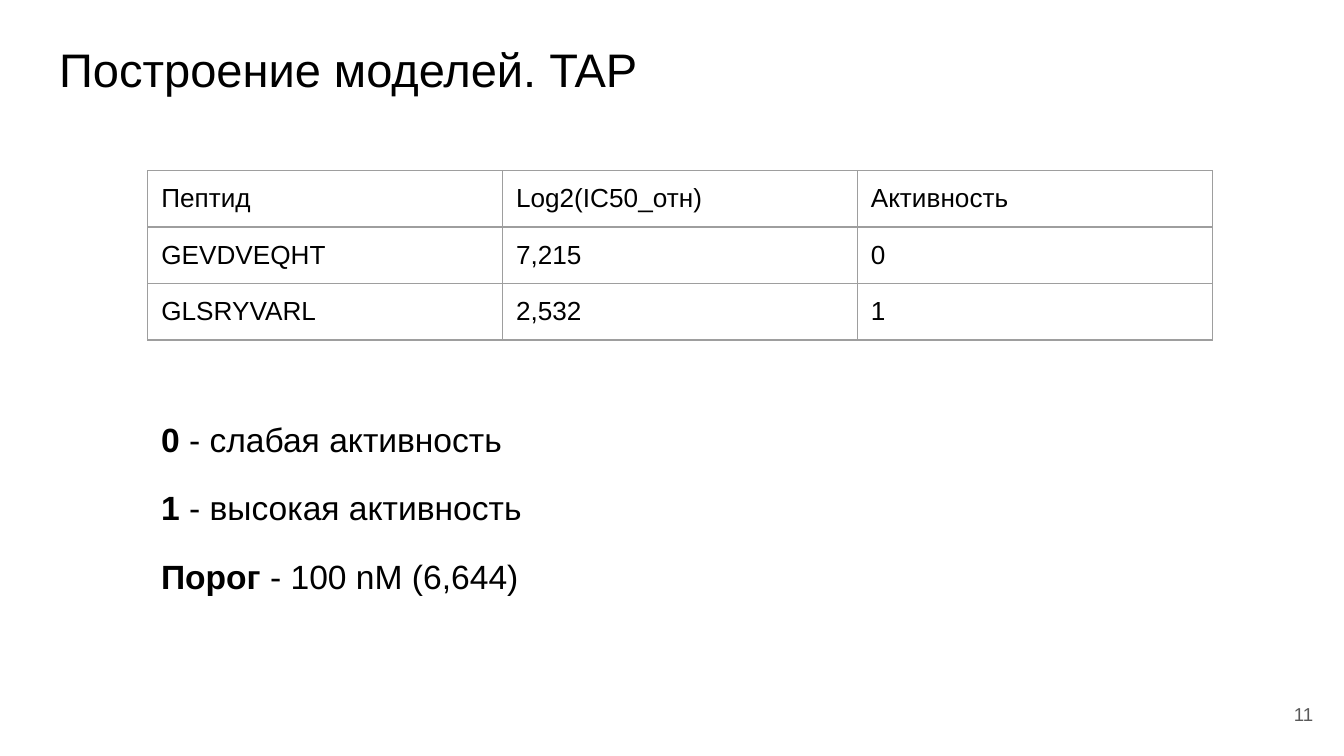
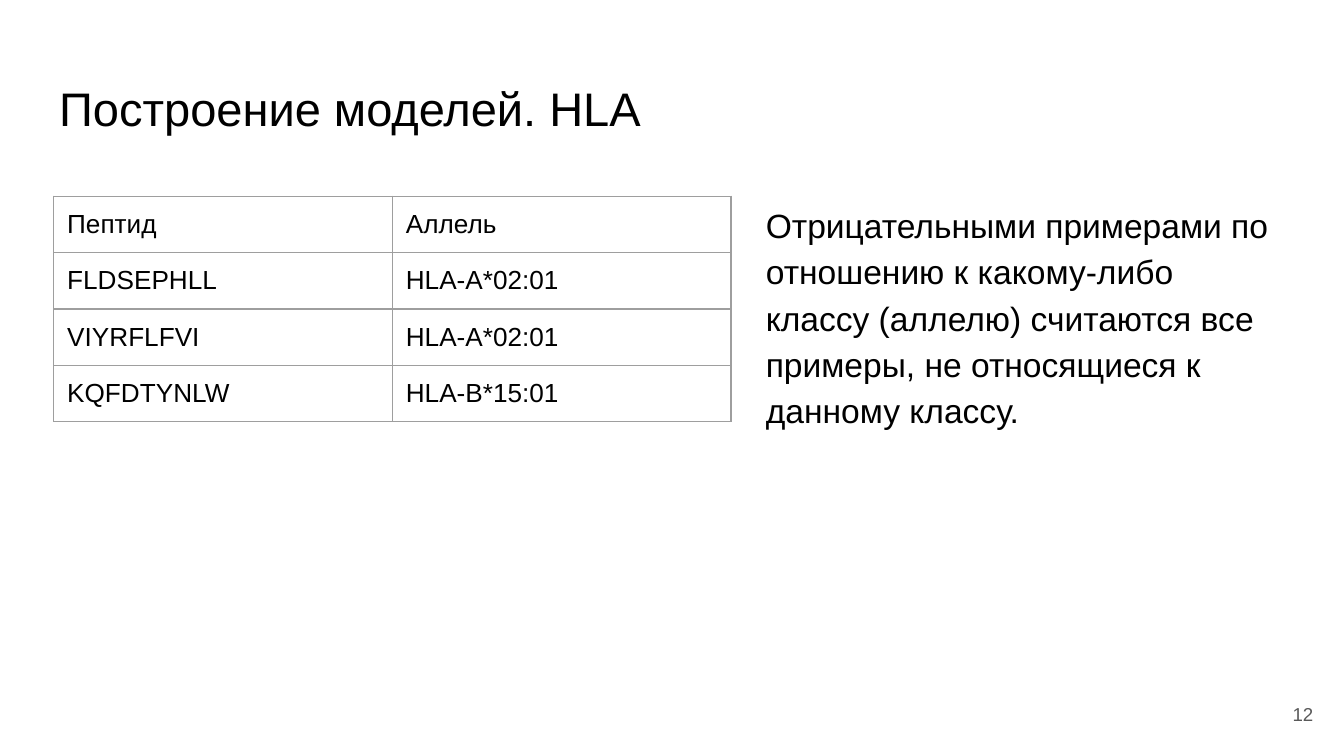
import lxml.etree
import pptx
import pptx.dml.color
import pptx.enum.text
import pptx.oxml.ns
import pptx.util

Inches = pptx.util.Inches
Pt = pptx.util.Pt
RGBColor = pptx.dml.color.RGBColor
Align = pptx.enum.text.PP_ALIGN
Anchor = pptx.enum.text.MSO_ANCHOR

BLACK = RGBColor(0x00, 0x00, 0x00)
GREY = RGBColor(0x59, 0x59, 0x59)
BORDER = RGBColor(0x9E, 0x9E, 0x9E)

TITLE_ONLY = 5
PAGE_WIDTH = Inches(10)
PAGE_HEIGHT = PAGE_WIDTH * 9 // 16
PADDING = Inches(0.1)
ROW_HEIGHT = Inches(0.42)
BORDER_WIDTH = Pt(0.75)

TITLE_FONT = {"name": "Arial", "size": Pt(25.2)}
BODY_FONT = {"name": "Arial", "size": Pt(18)}
CELL_FONT = {"name": "Arial", "size": Pt(14)}
NUMBER_FONT = {"name": "Arial", "size": Pt(10)}


def set_values(target, values):
    for name, value in values.items():
        setattr(target, name, value)


def set_margins(target):
    for side in ("left", "top", "right", "bottom"):
        setattr(target, f"margin_{side}", PADDING)


def style_frame(frame, anchor=Anchor.TOP):
    set_margins(frame)
    set_values(frame, {
        "word_wrap": True,
        "auto_size": pptx.enum.text.MSO_AUTO_SIZE.NONE,
        "vertical_anchor": anchor,
    })


def write(paragraph, text, font, color=BLACK, bold=False):
    span = paragraph.add_run()
    span.text = text
    set_values(span.font, font)
    span.font.bold = bold
    span.font.color.rgb = color


def add_page(deck, title, title_top, number):
    """Add a slide with its title and page number."""
    page = deck.slides.add_slide(deck.slide_layouts[TITLE_ONLY])
    heading = page.shapes.title
    set_values(heading, {
        "left": Inches(0.34), "top": Inches(title_top),
        "width": Inches(9.32), "height": Inches(0.63),
    })
    style_frame(heading.text_frame)
    heading_line = heading.text_frame.paragraphs[0]
    heading_line.alignment = Align.LEFT
    write(heading_line, title, TITLE_FONT)

    box = page.shapes.add_textbox(
        Inches(9.27), Inches(5.1), Inches(0.6), Inches(0.43))
    style_frame(box.text_frame, Anchor.MIDDLE)
    number_line = box.text_frame.paragraphs[0]
    number_line.alignment = Align.RIGHT
    write(number_line, str(number), NUMBER_FONT, GREY)
    return page


def add_body(page, left, top, width, height, paragraphs):
    """Add body text; each paragraph is a pair of bold lead and plain rest."""
    box = page.shapes.add_textbox(
        Inches(left), Inches(top), Inches(width), Inches(height))
    frame = box.text_frame
    style_frame(frame)
    for index, (lead, rest) in enumerate(paragraphs):
        paragraph = frame.add_paragraph() if index else frame.paragraphs[0]
        paragraph.line_spacing = 1.15
        paragraph.space_before = Pt(12 if index else 0)
        if lead:
            write(paragraph, lead, BODY_FONT, bold=True)
        write(paragraph, rest, BODY_FONT)
    frame.paragraphs[-1].space_after = Pt(12)


def add_borders(cell):
    properties = cell._tc.get_or_add_tcPr()
    qn = pptx.oxml.ns.qn
    for tag in ("a:lnL", "a:lnR", "a:lnT", "a:lnB"):
        line = lxml.etree.SubElement(
            properties, qn(tag), w=str(int(BORDER_WIDTH)))
        fill = lxml.etree.SubElement(line, qn("a:solidFill"))
        lxml.etree.SubElement(fill, qn("a:srgbClr"), val=str(BORDER))


def add_grid(page, left, top, column_width, rows):
    """Add a plain bordered table with equal columns and rows."""
    row_count, column_count = len(rows), len(rows[0])
    table = page.shapes.add_table(
        row_count, column_count, Inches(left), Inches(top),
        Inches(column_width) * column_count, ROW_HEIGHT * row_count).table
    set_values(table, {"first_row": False, "horz_banding": False})
    for row_index, values in enumerate(rows):
        for column_index, value in enumerate(values):
            cell = table.cell(row_index, column_index)
            set_margins(cell)
            add_borders(cell)
            cell.fill.background()
            write(cell.text_frame.paragraphs[0], value, CELL_FONT)


def build_tap(deck):
    page = add_page(deck, "Построение моделей. TAP", 0.2, 11)
    add_body(page, 1.1, 2.97, 7.92, 2.03, [
        ("0", " - слабая активность"),
        ("1", " - высокая активность"),
        ("Порог", " - 100 nM (6,644)"),
    ])
    add_grid(page, 1.1, 1.27, 2.64, [
        ("Пептид", "Log2(IC50_отн)", "Активность"),
        ("GEVDVEQHT", "7,215", "0"),
        ("GLSRYVARL", "2,532", "1"),
    ])


def build_hla(deck):
    page = add_page(deck, "Построение моделей. HLA", 0.49, 12)
    add_body(page, 5.6, 1.38, 4.06, 3.62, [
        ("", "Отрицательными примерами по отношению к какому-либо классу "
             "(аллелю) считаются все примеры, не относящиеся к данному "
             "классу."),
    ])
    add_grid(page, 0.4, 1.46, 2.52, [
        ("Пептид", "Аллель"),
        ("FLDSEPHLL", "HLA-A*02:01"),
        ("VIYRFLFVI", "HLA-A*02:01"),
        ("KQFDTYNLW", "HLA-B*15:01"),
    ])


def main():
    deck = pptx.Presentation()
    deck.slide_width = PAGE_WIDTH
    deck.slide_height = PAGE_HEIGHT
    build_tap(deck)
    build_hla(deck)
    deck.save("out.pptx")


if __name__ == "__main__":
    main()
